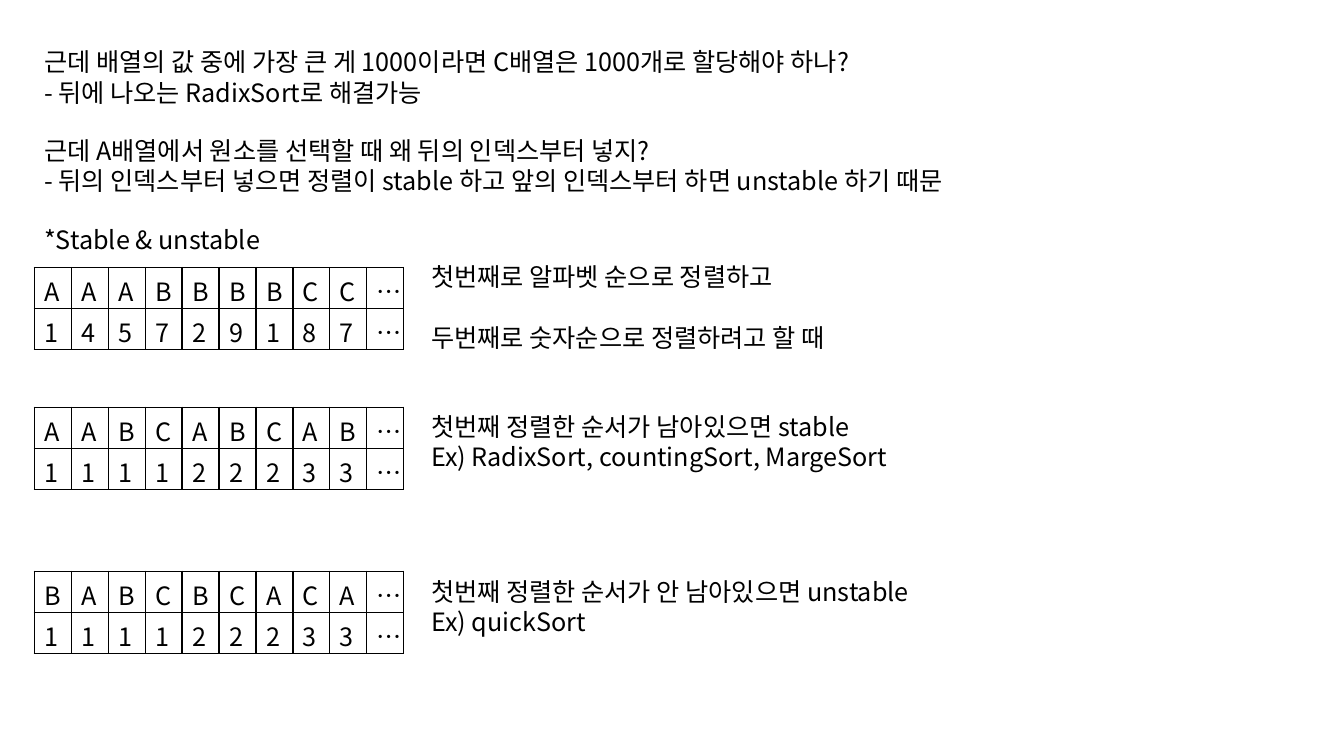
from typing import NamedTuple

from pptx import Presentation
from pptx.dml.color import RGBColor
from pptx.enum.text import MSO_AUTO_SIZE as AutoSize
from pptx.oxml import parse_xml
from pptx.oxml.ns import nsdecls
from pptx.util import Emu, Pt

PX = 6096  # 150 px to the inch
FONT = "Noto Sans CJK KR"
BLACK = "000000"
TEXT_SIZE = 18
LEFT, WIDE = 51, 1916
NOTE_LEFT, NOTE_WIDTH = 627, 960
COL, ROW = 55, 61


class Note(NamedTuple):
    left: int
    top: int
    width: int
    height: int
    lines: tuple[str, ...]
    gap: float = 0  # points between paragraphs


class SortTable(NamedTuple):
    top: int
    letters: str
    digits: str


NOTES = (
    Note(LEFT, 62, WIDE, 106, (
        "근데 배열의 값 중에 가장 큰 게 1000이라면 C배열은 1000개로 할당해야 하나?",
        "- 뒤에 나오는 RadixSort로 해결가능")),
    Note(LEFT, 194, WIDE, 106, (
        "근데 A배열에서 원소를 선택할 때 왜 뒤의 인덱스부터 넣지?",
        "- 뒤의 인덱스부터 넣으면 정렬이 stable 하고 앞의 인덱스부터 하면 unstable 하기 때문")),
    Note(LEFT, 327, WIDE, 60, ("*Stable & unstable",)),
    Note(NOTE_LEFT, 382, NOTE_WIDTH, 152, (
        "첫번째로 알파벳 순으로 정렬하고",
        "두번째로 숫자순으로 정렬하려고 할 때"), 22),
    Note(NOTE_LEFT, 604, NOTE_WIDTH, 106, (
        "첫번째 정렬한 순서가 남아있으면 stable",
        "Ex) RadixSort, countingSort, MargeSort")),
    Note(NOTE_LEFT, 850, NOTE_WIDTH, 106, (
        "첫번째 정렬한 순서가 안 남아있으면 unstable",
        "Ex) quickSort")),
)

TABLES = (
    SortTable(398, "AAABBBBCC…", "145729187…"),
    SortTable(606, "AABCABCAB…", "111122233…"),
    SortTable(850, "BABCBCACA…", "111122233…"),
)


def px(n: int) -> Emu:
    return Emu(n * PX)


def rgb(color: str) -> RGBColor:
    return RGBColor.from_string(color)


def add_run(p, text: str) -> None:
    r = p.add_run()
    r.text = text
    r.font.size = Pt(TEXT_SIZE)
    r.font.name = FONT
    r.font.color.rgb = rgb(BLACK)
    latin = r.font._element.find("{*}latin")
    latin.addnext(parse_xml(f'<a:ea {nsdecls("a")} typeface="{FONT}"/>'))


def add_note(s, note: Note) -> None:
    box = s.shapes.add_textbox(px(note.left), px(note.top), px(note.width), px(note.height))
    tf = box.text_frame
    tf.word_wrap = True
    tf.auto_size = AutoSize.SHAPE_TO_FIT_TEXT
    for i, line in enumerate(note.lines):
        p = tf.add_paragraph() if i else tf.paragraphs[0]
        if i and note.gap:
            p.space_before = Pt(note.gap)
        add_run(p, line)


def set_borders(cell, color: str, width: float) -> None:
    tc_pr = cell._tc.get_or_add_tcPr()
    for i, side in enumerate("LRTB"):
        tc_pr.insert(i, parse_xml(
            f'<a:ln{side} {nsdecls("a")} w="{Pt(width)}"><a:solidFill>'
            f'<a:srgbClr val="{color}"/></a:solidFill></a:ln{side}>'))


def add_sort_table(s, spec_row: SortTable) -> None:
    rows = (spec_row.letters, spec_row.digits)
    n_cols = len(spec_row.letters)
    table = s.shapes.add_table(len(rows), n_cols, px(LEFT), px(spec_row.top),
                               px(COL * n_cols), px(ROW * len(rows))).table
    table.first_row = table.horz_banding = False
    for col in table.columns:
        col.width = px(COL)
    for i, values in enumerate(rows):
        table.rows[i].height = px(ROW)
        for j, value in enumerate(values):
            cell = table.cell(i, j)
            cell.fill.background()
            set_borders(cell, BLACK, 1)
            add_run(cell.text_frame.paragraphs[0], value)


def main() -> None:
    prs = Presentation()
    prs.slide_width, prs.slide_height = px(2000), px(1125)
    s = prs.slides.add_slide(prs.slide_layouts[6])
    for note in NOTES:
        add_note(s, note)
    for sort_table in TABLES:
        add_sort_table(s, sort_table)
    prs.save("out.pptx")


if __name__ == "__main__":
    main()
